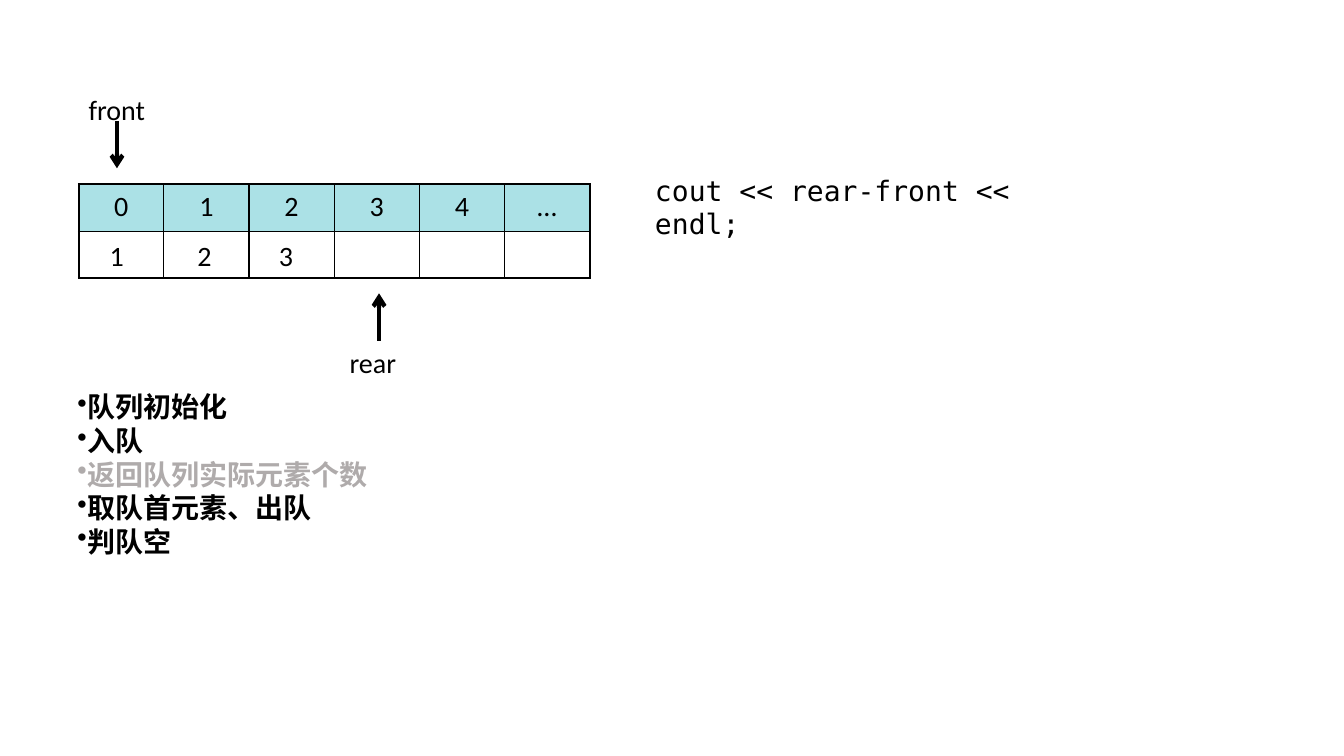
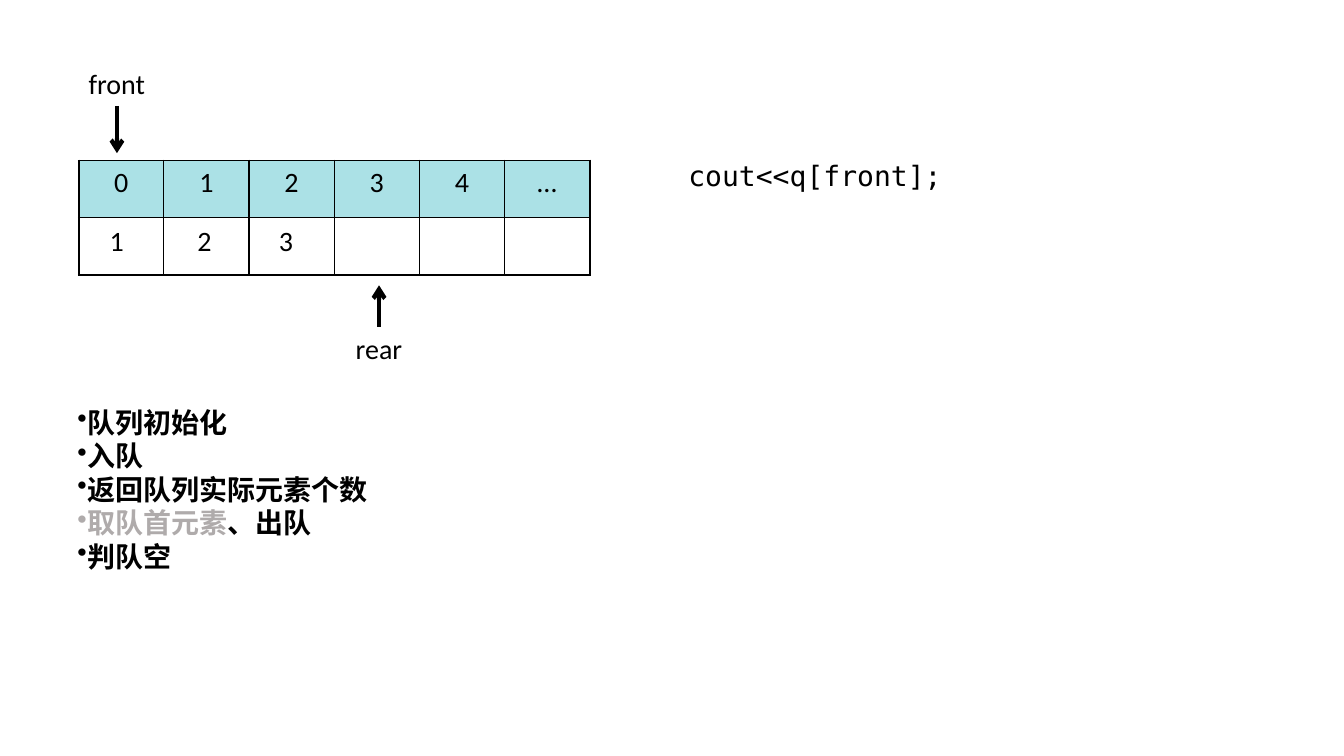
from lxml.etree import SubElement
from pptx import Presentation
from pptx.dml.color import RGBColor
from pptx.enum.shapes import MSO_CONNECTOR
from pptx.enum.text import MSO_AUTO_SIZE, PP_ALIGN
from pptx.oxml import parse_xml
from pptx.oxml.ns import nsdecls, qn
from pptx.util import Pt

COLORS = {"ink": "000000", "muted": "AFABAB", "header": "28B2C0", "paper": "FFFFFF"}
LATIN, CODE, CHINESE = "Calibri", "DejaVu Sans Mono", "Noto Sans CJK SC"
TEXT_SIZE = 20
LINE_HEIGHT = 31.7
HEADER_ALPHA = 39
TOP, BOTTOM = 0, 2

INDEXES = ["0", "1", "2", "3", "4", "…"]
QUEUE = {"1": 71.3, "2": 133.9, "3": 192.2}
OPERATIONS = [["队列初始化"], ["入队"], ["返回队列实际元素个数"], ["取队首元素", "、出队"], ["判队空"]]
TABLE_LEFT, TABLE_WIDTH = 56.2, 365
FRONT_X, REAR_X = 83.55, 270.75


def rgb(name):
    return RGBColor.from_string(COLORS[name])


def style_span(span, font=LATIN, color="ink", bold=False):
    span.font.size = Pt(TEXT_SIZE)
    span.font.name = font
    span.font.bold = bold
    span.font.color.rgb = rgb(color)
    if font == CHINESE:
        SubElement(span._r.get_or_add_rPr(), qn("a:ea")).set("typeface", font)


def add_text(shapes, text, left, top, width, height=LINE_HEIGHT, font=LATIN, wrap=False):
    box = shapes.add_textbox(Pt(left), Pt(top), Pt(width), Pt(height))
    frame = box.text_frame
    frame.word_wrap = wrap
    frame.auto_size = MSO_AUTO_SIZE.SHAPE_TO_FIT_TEXT
    if text:
        frame.text = text
        style_span(frame.paragraphs[0].runs[0], font)
    return box


def add_operations(page, top, muted):
    """List the queue operations, with the spans named in muted greyed out."""
    frame = add_text(page.shapes, "", 48.2, top, 222.5, 128).text_frame
    for number, pieces in enumerate(OPERATIONS):
        para = frame.add_paragraph() if number else frame.paragraphs[0]
        para.line_spacing = Pt(24)
        SubElement(para._p.get_or_add_pPr(), qn("a:buChar")).set("char", "•")
        for piece in pieces:
            span = para.add_run()
            span.text = piece
            style_span(span, CHINESE, "muted" if piece in muted else "ink", bold=True)


def set_borders(cell, widths):
    """Draw the left, right, top and bottom borders, in that order."""
    for place, (side, width) in enumerate(zip("LRTB", widths)):
        cell._tc.get_or_add_tcPr().insert(place, parse_xml(
            f'<a:ln{side} {nsdecls("a")} w="{Pt(width)}"><a:solidFill>'
            f'<a:srgbClr val="{COLORS["ink"]}"/></a:solidFill></a:ln{side}>'))


def add_queue_table(page, top, height):
    """Draw the index row over an empty row of slots."""
    table = page.shapes.add_table(2, len(INDEXES), Pt(TABLE_LEFT), Pt(top),
                                  Pt(TABLE_WIDTH), Pt(height)).table
    table.first_row = table.horz_banding = False
    last = len(INDEXES) - 1
    for column, index in enumerate(INDEXES):
        header, slot = table.cell(0, column), table.cell(1, column)
        header.text = index
        para = header.text_frame.paragraphs[0]
        para.alignment = PP_ALIGN.CENTER
        style_span(para.runs[0])
        for cell, color in ((header, "header"), (slot, "paper")):
            cell.fill.solid()
            cell.fill.fore_color.rgb = rgb(color)
            edges = (column == 0, column == last, cell is header, cell is slot)
            set_borders(cell, [1.5 if outer else 1 for outer in edges])
        shade = header._tc.tcPr.find(qn("a:solidFill")).find(qn("a:srgbClr"))
        SubElement(shade, qn("a:alpha")).set("val", str(HEADER_ALPHA * 1000))


def add_pointer(page, name, place, site, x, start, end, joined):
    """Group a pointer's name with its arrow, joined to the name's box if asked."""
    shapes = page.shapes.add_group_shape().shapes
    box = add_text(shapes, name, *place)
    arrow = shapes.add_connector(MSO_CONNECTOR.STRAIGHT, Pt(x), Pt(start), Pt(x), Pt(end))
    if joined:
        arrow.begin_connect(box, site)
    arrow.line.width = Pt(3)
    arrow.line.color.rgb = rgb("ink")
    SubElement(arrow.line._get_or_add_ln(), qn("a:tailEnd")).set("type", "arrow")
    SubElement(arrow._element.spPr, qn("a:effectLst"))


def add_queue_page(deck, operations_top, muted, table, code, front, rear, values_top, joined):
    page = deck.slides.add_slide(deck.slide_layouts[6])
    add_operations(page, operations_top, muted)
    add_queue_table(page, *table)
    add_text(page.shapes, *code, font=CODE, wrap=True)
    front_top, *front_arrow = front
    rear_left, rear_top, rear_tip = rear
    add_pointer(page, "front", (TABLE_LEFT, front_top, 54.7), BOTTOM, FRONT_X, *front_arrow, joined)
    add_pointer(page, "rear", (rear_left, rear_top, 47.5), TOP, REAR_X, rear_top, rear_tip, joined)
    for value, left in QUEUE.items():
        add_text(page.shapes, value, left, values_top, 24.5)


def main():
    deck = Presentation()
    deck.slide_width, deck.slide_height = Pt(960), Pt(540)
    add_queue_page(
        deck, operations_top=275, muted=["返回队列实际元素个数"], table=(131.6, 67.2),
        code=("cout << rear-front << endl;", 460.8, 120.2, 324, 55.4),
        front=(62.6, 86.4, 120.2), rear=(242.6, 243.4, 209.5), values_top=167, joined=False)
    add_queue_page(
        deck, operations_top=285.8, muted=["取队首元素"], table=(114.7, 81.6),
        code=("cout<<q[front];", 484.6, 109.4, 221),
        front=(43.9, 75.6, 109.4), rear=(247, 233.3, 203.8), values_top=156.2, joined=True)
    deck.save("out.pptx")


if __name__ == "__main__":
    main()
